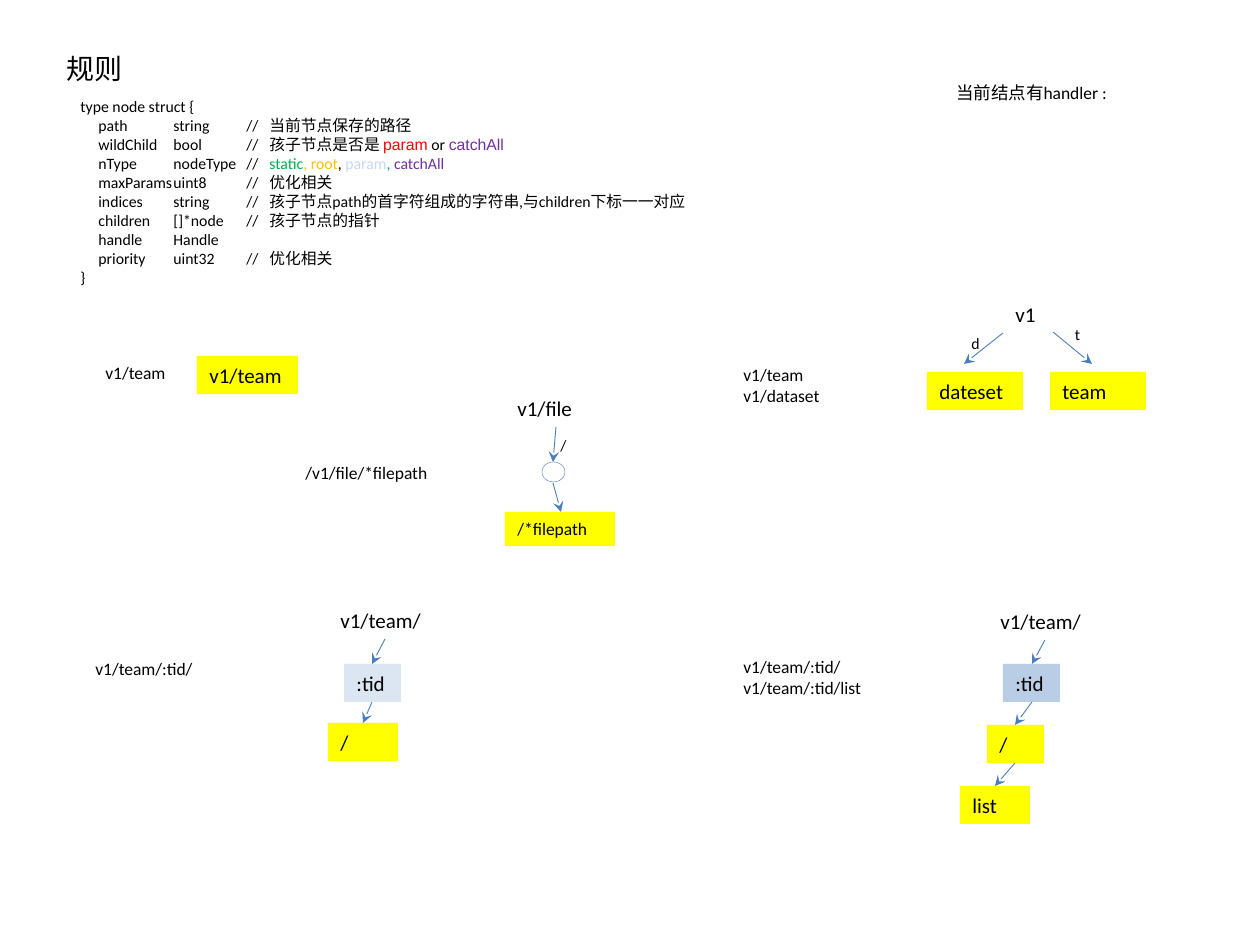
from lxml import etree
from pptx import Presentation
from pptx.dml.color import RGBColor
from pptx.enum.shapes import MSO_CONNECTOR, MSO_SHAPE
from pptx.enum.text import MSO_ANCHOR, MSO_AUTO_SIZE, PP_ALIGN
from pptx.oxml.ns import qn
from pptx.util import Emu, Pt

RECT, OVAL = MSO_SHAPE.RECTANGLE, MSO_SHAPE.OVAL
LINE = MSO_CONNECTOR.STRAIGHT
LEFT, CENTER = PP_ALIGN.LEFT, PP_ALIGN.CENTER
TOP = MSO_ANCHOR.TOP
GROW = MSO_AUTO_SIZE.SHAPE_TO_FIT_TEXT

PIXEL = 914400 / 126
COLORS = {
    "black": "000000", "white": "FFFFFF", "yellow": "FFFF00",
    "pale": "DCE6F2", "blue": "B9CDE5", "arrow": "4B7EBC",
    "ring": "4F81BD", "red": "FF0000", "purple": "7030A0",
    "green": "00B050", "gold": "FFC000", "sky": "C6D9F1",
}
STOPS = (18, 93, 166, 189)
CODE = [
    ["type node struct {"],
    ["\tpath\tstring\t//\t当前节点保存的路径"],
    ["\twildChild\tbool\t//\t孩子节点是否是 ", ("param", "red", "Arial"),
     " or ", ("catchAll", "purple", "Arial")],
    ["\tnType\tnodeType\t//\t", ("static", "green"), (", root", "gold"),
     ", ", ("param", "sky"), (", ", "green"), ("catchAll", "purple")],
    ["\tmaxParams\tuint8\t//\t优化相关"],
    ["\tindices\tstring\t//\t孩子节点path的首字符组成的字符串,与children下标一一对应"],
    ["\tchildren\t[]*node\t//\t孩子节点的指针"],
    ["\thandle\tHandle"],
    ["\tpriority\tuint32\t//\t优化相关"],
    ["}"],
]
NOTES = [
    ("规则", 54, 45, 110, 47, 16),
    ("当前结点有handler :", 944, 76, 232, 34, 10),
    ("v1/team", 93, 356, 139, 34, 10),
    ("v1/team\nv1/dataset", 731, 358, 139, 55, 10),
    ("/v1/file/*filepath", 293, 456, 170, 34, 10),
    ("v1/team/:tid/", 83, 652, 149, 34, 10),
    ("v1/team/:tid/\nv1/team/:tid/list", 731, 650, 149, 55, 10),
    ("v1", 1003, 295, 49, 38, 12),
    ("v1/file", 505, 389, 101, 38, 12),
    ("v1/team/", 328, 601, 115, 38, 12),
    ("v1/team/", 988, 602, 115, 38, 12),
]
NODES = [
    ("v1/team", 197, 356, 101, 38, 12, "yellow"),
    ("dateset", 927, 372, 96, 38, 12, "yellow"),
    ("team", 1050, 372, 96, 38, 12, "yellow"),
    ("/*filepath", 505, 512, 110, 34, 10, "yellow"),
    (":tid", 344, 664, 57, 38, 12, "pale"),
    ("/", 328, 723, 70, 38, 12, "yellow"),
    (":tid", 1003, 664, 57, 38, 12, "blue"),
    ("/", 987, 725, 57, 38, 12, "yellow"),
    ("list", 960, 786, 70, 38, 12, "yellow"),
]
EDGES = [("d", 965, 328), ("t", 1067, 319), ("/", 553, 430)]
ARROWS = [
    (1003, 333, 964, 364), (1053, 332, 1092, 364),
    (556, 427, 553, 462), (553, 483, 561, 512),
    (385, 639, 372, 664), (372, 702, 363, 723),
    (1045, 640, 1032, 664), (1032, 702, 1015, 725),
    (1015, 763, 995, 786),
]


def px(size):
    return Emu(round(size * PIXEL))


def rgb(name):
    return RGBColor.from_string(COLORS[name])


def style(run, size, color="black", face="Calibri"):
    run.font.size = Pt(size)
    run.font.name = face
    run.font.color.rgb = rgb(color)


def setup(frame):
    frame.word_wrap = True
    frame.auto_size = GROW
    frame.vertical_anchor = TOP


def write(frame, text, size, align=LEFT):
    setup(frame)
    frame.text = text
    for para in frame.paragraphs:
        para.alignment = align
        for run in para.runs:
            style(run, size)


def box(slide, left, top, width, height):
    return slide.shapes.add_textbox(px(left), px(top), px(width), px(height))


def note(slide, text, left, top, width, height, size):
    write(box(slide, left, top, width, height).text_frame, text, size)


def label(slide, text, left, top):
    frame = box(slide, left, top, 21, 31).text_frame
    frame.margin_left = frame.margin_right = 0
    write(frame, text, 9, CENTER)


def solid(slide, kind, left, top, width, height, fill):
    shape = slide.shapes.add_shape(kind, px(left), px(top), px(width), px(height))
    shape.shadow.inherit = False
    shape.fill.solid()
    shape.fill.fore_color.rgb = rgb(fill)
    return shape


def node(slide, text, left, top, width, height, size, fill):
    shape = solid(slide, RECT, left, top, width, height, fill)
    shape.line.fill.background()
    write(shape.text_frame, text, size)


def ring(slide, left, top, width, height):
    shape = solid(slide, OVAL, left, top, width, height, "white")
    shape.line.color.rgb = rgb("ring")
    shape.line.width = Pt(0.25)


def arrow(slide, *ends):
    link = slide.shapes.add_connector(LINE, *map(px, ends))
    link.line.color.rgb = rgb("arrow")
    link.line.width = Pt(0.5)
    etree.SubElement(link.line._get_or_add_ln(), qn("a:tailEnd"), type="stealth")
    etree.SubElement(link._element.spPr, qn("a:effectLst"))


def tabs(para):
    stops = etree.SubElement(para._p.get_or_add_pPr(), qn("a:tabLst"))
    for stop in STOPS:
        etree.SubElement(stops, qn("a:tab"), pos=str(px(stop)), algn="l")


def code(slide, left, top, width, height):
    frame = box(slide, left, top, width, height).text_frame
    setup(frame)
    for index, row in enumerate(CODE):
        para = frame.add_paragraph() if index else frame.paragraphs[0]
        tabs(para)
        for part in row:
            text, *look = (part,) if isinstance(part, str) else part
            run = para.add_run()
            run.text = text
            style(run, 9, *look)


def main():
    deck = Presentation()
    deck.slide_width, deck.slide_height = px(1260), px(945)
    slide = deck.slides.add_slide(deck.slide_layouts[6])
    code(slide, 68, 91, 748, 204)
    for item in NOTES:
        note(slide, *item)
    for item in NODES:
        node(slide, *item)
    ring(slide, 542, 462, 23, 20)
    for ends in ARROWS:
        arrow(slide, *ends)
    for item in EDGES:
        label(slide, *item)
    deck.save("out.pptx")


main()
